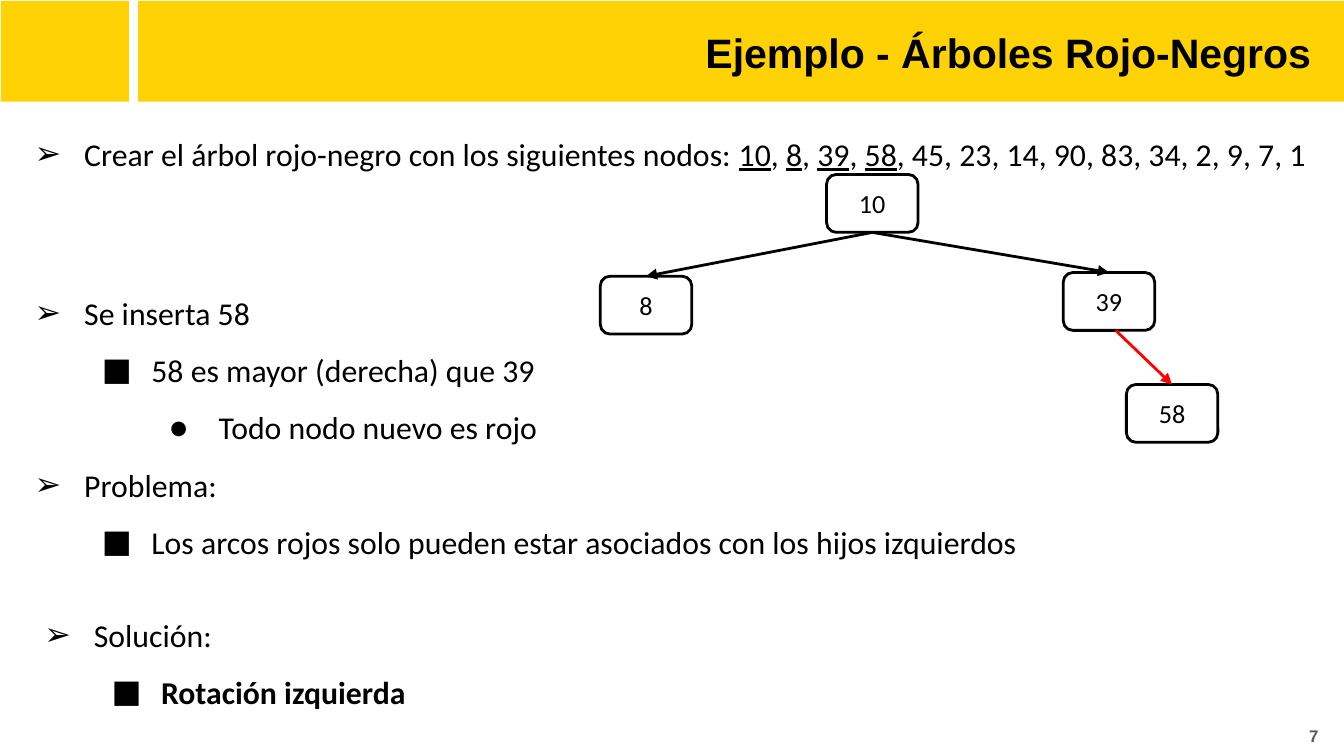
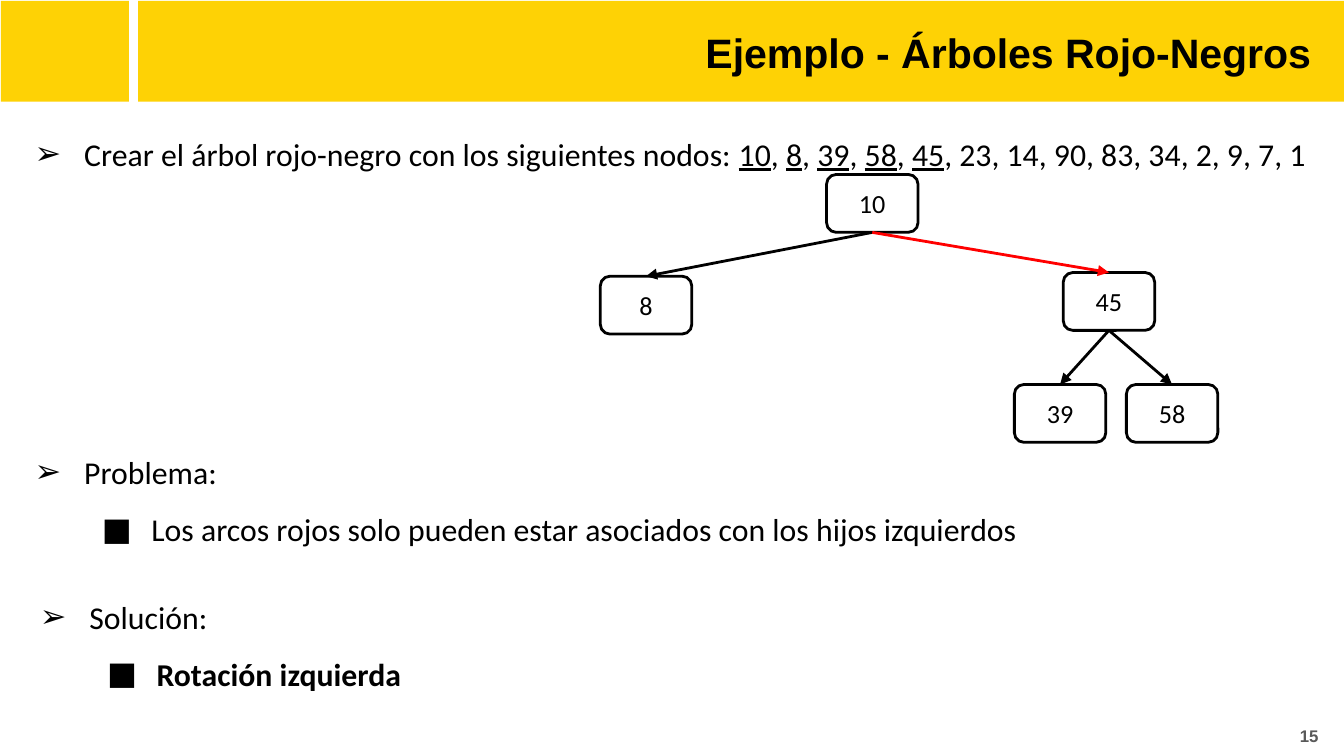
from lxml.etree import SubElement
from pptx import Presentation
from pptx.dml.color import RGBColor
from pptx.enum.shapes import MSO_CONNECTOR, MSO_SHAPE
from pptx.enum.text import MSO_ANCHOR, MSO_AUTO_SIZE, PP_ALIGN
from pptx.oxml.ns import qn
from pptx.util import Pt

YELLOW, BLACK, RED, WHITE, GREY = "FED205", "000000", "FF0000", "FFFFFF", "595959"
TITLE = "Ejemplo - Árboles Rojo-Negros "
BANDS = [(74, 0.5, 646, 54), (0.5, 0.5, 68.5, 54)]
INTRO = "Crear el árbol rojo-negro con los siguientes nodos: "
NUMBERS = "10 8 39 58 45 23 14 90 83 34 2 9 7 1".split()
BULLETS = "➢■●"
INDENT, HANGING, INSET = 36, 26.5, 7.2
NODE_WIDTH, NODE_HEIGHT = 49, 31
ROOT, LEFT, RIGHT = (442.8, 93.5), (321.6, 148), (569.6, 146)
RIGHT_LEFT, RIGHT_RIGHT = (543.4, 206), (603.4, 206)

PROBLEM = [
    (0, "Problema:"),
    (1, "Los arcos rojos solo pueden estar asociados con los hijos izquierdos"),
]
SOLUTION = [(0, "Solución:"), (1, "Rotación izquierda")]

SLIDES = [
    {
        "number": "7",
        "inserted": 4,
        "tree_gap": 54.7,
        "steps": [
            (0, "Se inserta 58"),
            (1, "58 es mayor (derecha) que 39"),
            (2, "Todo nodo nuevo es rojo"),
            *PROBLEM,
        ],
        "nodes": {"10": ROOT, "8": LEFT, "39": RIGHT, "58": RIGHT_RIGHT},
        "edges": [("10", "8", BLACK, 0), ("10", "39", BLACK, 0), ("39", "58", RED, 3.6)],
        "solution": (7.2, 312.5),
    },
    {
        "number": "15",
        "inserted": 5,
        "tree_gap": 140,
        "steps": PROBLEM,
        "nodes": {"10": ROOT, "8": LEFT, "45": RIGHT, "39": RIGHT_LEFT, "58": RIGHT_RIGHT},
        "edges": [
            ("10", "8", BLACK, 0),
            ("10", "45", RED, 0),
            ("45", "39", BLACK, 0),
            ("45", "58", BLACK, 0),
        ],
        "solution": (4.8, 302.8),
    },
]


def color(value):
    """Turn a hex string into a colour."""
    return RGBColor.from_string(value)


def style_font(paragraph, name, size, ink=BLACK, bold=False):
    """Set the font of a whole paragraph."""
    font = paragraph.font
    font.name, font.size, font.bold = name, Pt(size), bold
    font.color.rgb = color(ink)


def style_frame(frame, anchor=MSO_ANCHOR.TOP):
    """Give a text frame the shared insets, wrapping and anchor."""
    frame.word_wrap = True
    frame.auto_size = MSO_AUTO_SIZE.NONE
    frame.vertical_anchor = anchor
    frame.margin_left = frame.margin_right = Pt(INSET)
    frame.margin_top = frame.margin_bottom = Pt(INSET)


def add_box(slide, left, top, width, height, anchor=MSO_ANCHOR.TOP):
    """Add a text box and return its frame."""
    frame = slide.shapes.add_textbox(Pt(left), Pt(top), Pt(width), Pt(height)).text_frame
    style_frame(frame, anchor)
    return frame


def style_bullet(paragraph, level, space=0, bold=False):
    """Format a paragraph as a bullet of the given level."""
    paragraph.level = level
    paragraph.line_spacing = 1.5
    paragraph.space_before = Pt(space)
    properties = paragraph._p.get_or_add_pPr()
    properties.set("marL", str(Pt(INDENT * (level + 1))))
    properties.set("indent", str(Pt(-HANGING)))
    bullet_color = SubElement(properties, qn("a:buClr"))
    SubElement(bullet_color, qn("a:srgbClr"), val=BLACK)
    SubElement(properties, qn("a:buFont"), typeface="Calibri")
    SubElement(properties, qn("a:buChar"), char=BULLETS[level])
    style_font(paragraph, "Calibri", 17, bold=bold)


def add_shape(slide, kind, left, top, width, height, fill):
    """Add a flat filled shape without an outline."""
    shape = slide.shapes.add_shape(kind, Pt(left), Pt(top), Pt(width), Pt(height))
    shape.shadow.inherit = False
    shape.fill.solid()
    shape.fill.fore_color.rgb = color(fill)
    shape.line.fill.background()
    return shape


def add_bands(slide):
    """Draw the yellow bands and move them to the layout."""
    for band in BANDS:
        shape = add_shape(slide, MSO_SHAPE.RECTANGLE, *band, YELLOW)
        slide.slide_layout.shapes._spTree.insert(2, shape._element)


def add_title(slide):
    """Place and format the title."""
    title = slide.shapes.title
    title.left, title.top, title.width, title.height = Pt(77.8), Pt(5), Pt(638), Pt(45.4)
    title.text = TITLE
    style_frame(title.text_frame, MSO_ANCHOR.MIDDLE)
    paragraph = title.text_frame.paragraphs[0]
    paragraph.alignment = PP_ALIGN.RIGHT
    style_font(paragraph, "Arial", 22, bold=True)


def add_number(slide, number):
    """Write the slide number."""
    paragraph = add_box(slide, 681.8, 378.7, 31.7, 31, MSO_ANCHOR.MIDDLE).paragraphs[0]
    paragraph.text = number
    paragraph.alignment = PP_ALIGN.RIGHT
    style_font(paragraph, "Arial", 9, GREY, bold=True)


def add_steps(slide, inserted, tree_gap, steps):
    """Write the list of numbers and the steps below it."""
    frame = add_box(slide, 2, 54.7, 718, 350)
    intro = frame.paragraphs[0]
    style_bullet(intro, 0)
    intro.add_run().text = INTRO
    for index, number in enumerate(NUMBERS[:inserted]):
        if index:
            intro.add_run().text = ", "
        run = intro.add_run()
        run.text = number
        run.font.underline = True
    intro.add_run().text = "".join(f", {number}" for number in NUMBERS[inserted:])
    for index, (level, text) in enumerate(steps):
        paragraph = frame.add_paragraph()
        paragraph.text = text
        style_bullet(paragraph, level, 0 if index else tree_gap)


def add_solution(slide, left, top):
    """Write the solution."""
    frame = add_box(slide, left, top, 236, 66)
    for index, (level, text) in enumerate(SOLUTION):
        paragraph = frame.add_paragraph() if index else frame.paragraphs[0]
        paragraph.text = text
        style_bullet(paragraph, level, bold=level > 0)


def add_node(slide, label, left, top):
    """Draw one tree node."""
    node = add_shape(
        slide, MSO_SHAPE.ROUNDED_RECTANGLE, left, top, NODE_WIDTH, NODE_HEIGHT, WHITE
    )
    node.line.color.rgb = color(BLACK)
    node.line.width = Pt(1.5)
    style_frame(node.text_frame, MSO_ANCHOR.MIDDLE)
    paragraph = node.text_frame.paragraphs[0]
    paragraph.text = label
    paragraph.alignment = PP_ALIGN.CENTER
    style_font(paragraph, "Calibri", 14)
    return node


def add_edge(slide, parent, child, ink, shift):
    """Draw an arrow from the bottom of a parent to the top of its child."""
    edge = slide.shapes.add_connector(
        MSO_CONNECTOR.STRAIGHT,
        parent.left + parent.width // 2 + Pt(shift),
        parent.top + parent.height,
        child.left + child.width // 2,
        child.top,
    )
    if not shift:
        edge.begin_connect(parent, 2)
        edge.end_connect(child, 0)
    edge.line.color.rgb = color(ink)
    edge.line.width = Pt(1.5)
    SubElement(edge.line._get_or_add_ln(), qn("a:tailEnd"), type="triangle")
    SubElement(edge._element.spPr, qn("a:effectLst"))


def add_tree(slide, nodes, edges):
    """Draw the nodes and the arrows between them."""
    shapes = {label: add_node(slide, label, *place) for label, place in nodes.items()}
    for parent, child, ink, shift in edges:
        add_edge(slide, shapes[parent], shapes[child], ink, shift)


def main():
    """Build the presentation."""
    presentation = Presentation()
    presentation.slide_width, presentation.slide_height = Pt(720), Pt(405)
    layout = presentation.slide_layouts[5]
    for index, content in enumerate(SLIDES):
        slide = presentation.slides.add_slide(layout)
        if index == 0:
            add_bands(slide)
        add_steps(slide, content["inserted"], content["tree_gap"], content["steps"])
        add_title(slide)
        add_number(slide, content["number"])
        add_tree(slide, content["nodes"], content["edges"])
        add_solution(slide, *content["solution"])
    presentation.save("out.pptx")


if __name__ == "__main__":
    main()
